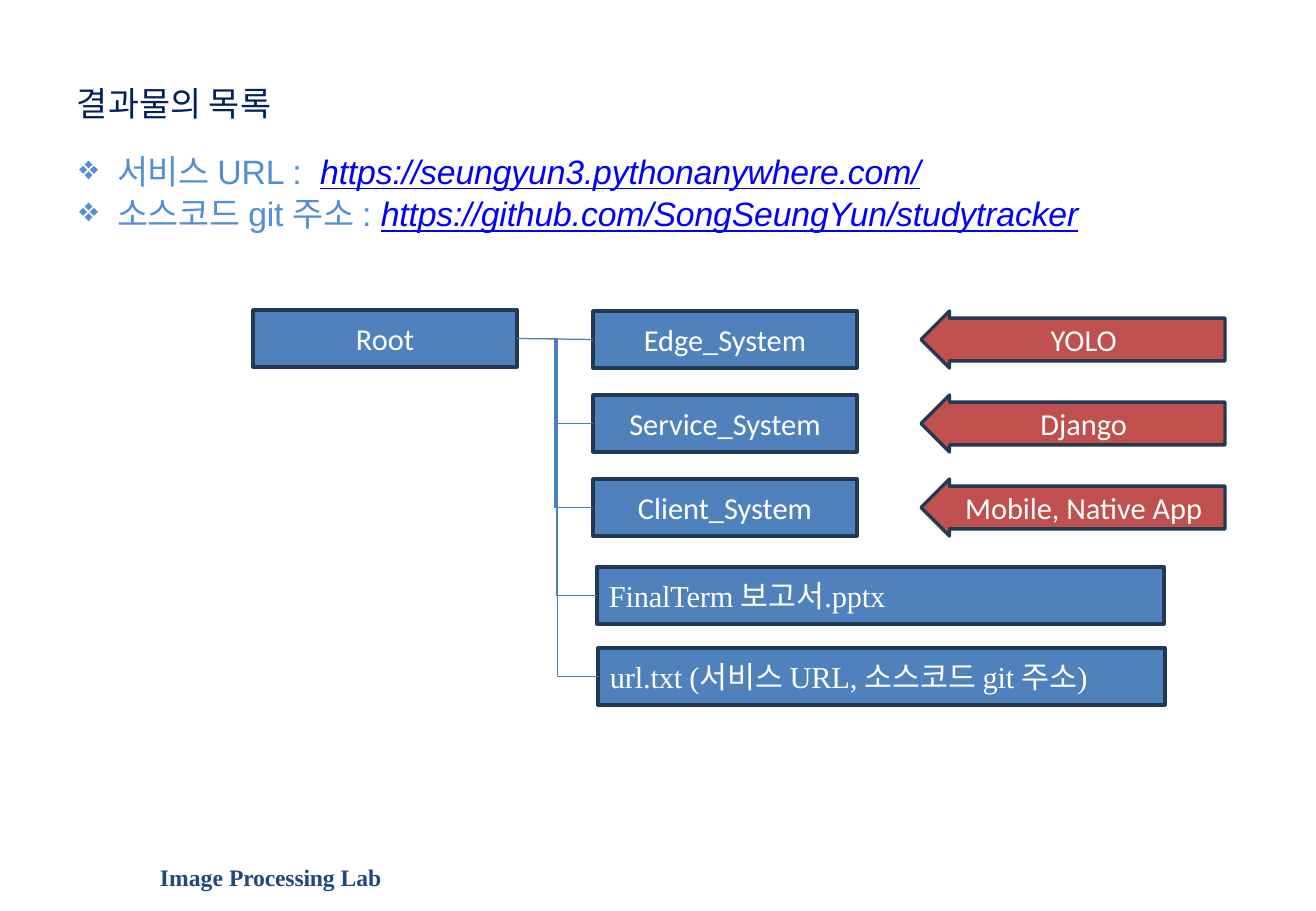
"""Build the slide that lists the project deliverables as a tree."""
from pptx import Presentation
from pptx.dml.color import RGBColor
from pptx.enum.shapes import MSO_CONNECTOR as Link, MSO_SHAPE as Shape
from pptx.enum.text import MSO_ANCHOR as Anchor, PP_ALIGN as Align
from pptx.oxml.ns import qn
from pptx.util import Pt
from lxml.etree import SubElement

PX = 7526
THEME = {
    "navy": "002060", "sky": "558ED5", "link": "0000FF", "footer": "1F497D",
    "node": "4F81BD", "tool": "C0504D", "outline": "233953", "wire": "4B7EBC",
    "white": "FFFFFF",
    "serif": "Times New Roman", "sans": "Arial", "label": "Calibri",
    "heading_size": 20, "label_size": 18, "footer_size": 14,
}


def add_span(para, text, face, size, color, spacing=0):
    span = para.add_run()
    span.text = text
    span.font.name = THEME[face]
    span.font.size = Pt(THEME[size])
    span.font.color.rgb = RGBColor.from_string(THEME[color])
    if spacing:
        span.font._element.set("spc", str(spacing))
    return span


def add_block(page, kind, area, fill=None):
    place = [value * PX for value in area]
    if fill is None:
        box = page.shapes.add_textbox(*place)
        frame = box.text_frame
        frame.margin_left = frame.margin_right = frame.margin_bottom = 0
        frame.margin_top = PX
    else:
        box = page.shapes.add_shape(kind, *place)
        box.shadow.inherit = False
        box.fill.solid()
        box.fill.fore_color.rgb = RGBColor.from_string(THEME[fill])
        box.line.color.rgb = RGBColor.from_string(THEME["outline"])
        box.line.width = Pt(2)
        box.text_frame.vertical_anchor = Anchor.MIDDLE
    box.text_frame.word_wrap = True
    return box


deck = Presentation()
deck.slide_width, deck.slide_height = 1316 * PX, 911 * PX
page = deck.slides.add_slide(deck.slide_layouts[6])

footer = add_block(page, None, (160, 862, 227, 32))
for text, spacing in (("Image ", 0), ("Processing ", -10), ("Lab", 0)):
    span = add_span(footer.text_frame.paragraphs[0], text, "serif", "footer_size", "footer", spacing)
    span.font.bold = True

title = add_block(page, None, (77, 82, 349, 43))
add_span(title.text_frame.paragraphs[0], "결과물의 목록", "serif", "heading_size", "navy")

addresses = add_block(page, None, (77, 150, 1074, 85))
for index, (caption, address) in enumerate((
    ("서비스 URL :  ", "https://seungyun3.pythonanywhere.com/"),
    ("소스코드 git 주소 : ", "https://github.com/SongSeungYun/studytracker"),
)):
    frame = addresses.text_frame
    para = frame.add_paragraph() if index else frame.paragraphs[0]
    props = para._p.get_or_add_pPr()
    props.set("marL", str(40 * PX))
    props.set("indent", str(-38 * PX))
    SubElement(props, qn("a:buChar")).set("char", "❖")
    tab = SubElement(SubElement(props, qn("a:tabLst")), qn("a:tab"))
    tab.set("pos", str(40 * PX))
    tab.set("algn", "l")
    if index:
        para.space_before = Pt(1)
    add_span(para, caption, "sans", "heading_size", "sky", -10)
    span = add_span(para, address, "sans", "heading_size", "link", -10)
    span.font.italic = span.font.underline = True

root = add_block(page, Shape.RECTANGLE, (253, 310, 264, 57), "node")
systems, tools = [], []
for row in range(3):
    top = 311 + 84 * row
    systems.append(add_block(page, Shape.RECTANGLE, (593, top, 264, 57), "node"))
    tool = add_block(page, Shape.LEFT_ARROW, (921, top, 304, 57), "tool")
    tool.adjustments[0], tool.adjustments[1] = 0.75, 0.5
    tools.append(tool)

labels = ("Root", "Edge_System", "Service_System", "Client_System",
          "YOLO", "Django", "Mobile, Native App")
for box, label in zip([root, *systems, *tools], labels):
    para = box.text_frame.paragraphs[0]
    para.alignment = Align.CENTER
    add_span(para, label, "label", "label_size", "white")

files = []
for left, top, name in (
    (597, 567, "FinalTerm 보고서.pptx"),
    (598, 648, "url.txt (서비스 URL, 소스코드 git 주소)"),
):
    box = add_block(page, Shape.RECTANGLE, (left, top, 567, 57), "node")
    para = box.text_frame.paragraphs[0]
    para.alignment = Align.LEFT
    add_span(para, name, "serif", "label_size", "white", -10)
    files.append(box)

for child in systems + files:
    kind = Link.STRAIGHT if child is systems[0] else Link.ELBOW
    wire = page.shapes.add_connector(kind, 0, 0, 0, 0)
    wire.begin_connect(root, 3)
    wire.end_connect(child, 3 if child is root else 1)
    wire.line.color.rgb = RGBColor.from_string(THEME["wire"])
    wire.line.width = Pt(0.75)
    SubElement(wire._element.spPr, qn("a:effectLst"))

deck.save("out.pptx")
